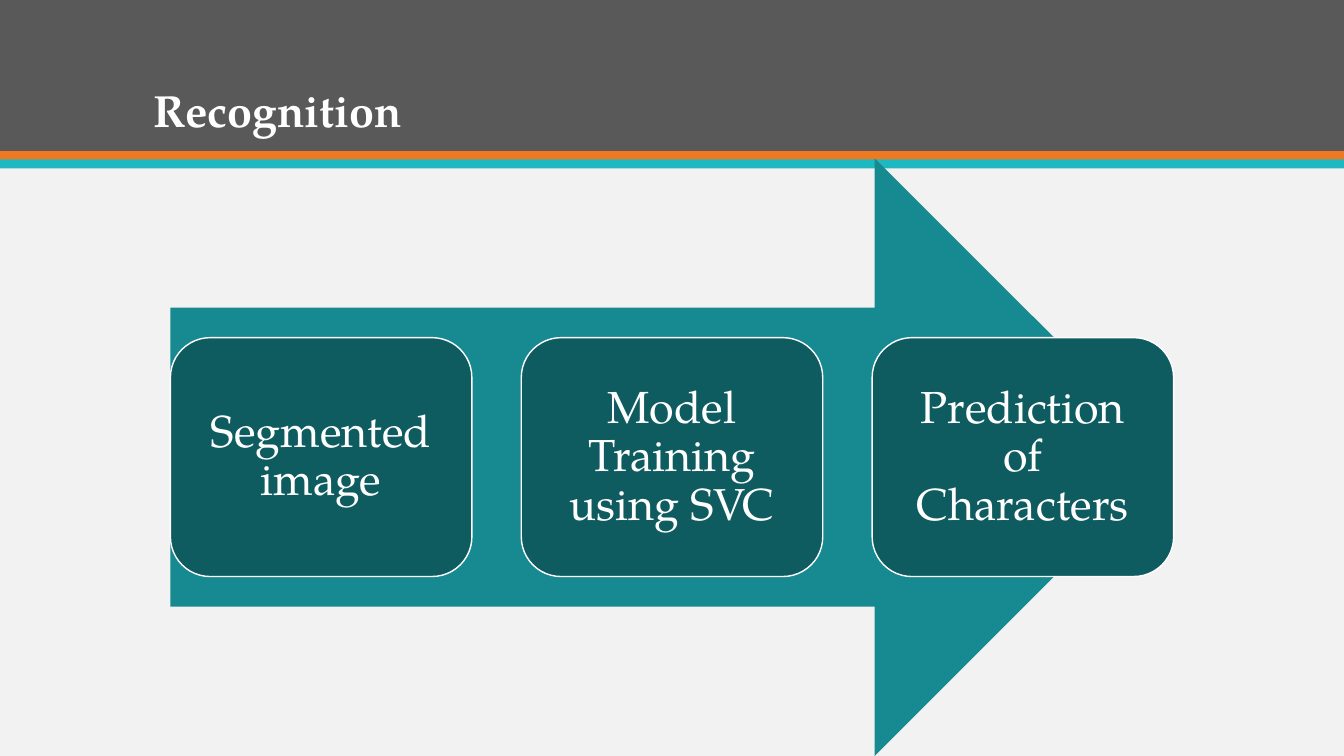
from pptx import Presentation
from pptx.dml.color import RGBColor
from pptx.enum import shapes, text
from pptx.util import Inches, Pt

# Content
TITLE = "Recognition"
STEPS = ["Segmented image", "Model Training using SVC", "Prediction of Characters"]

THEME = {
    "font": "TeX Gyre Pagella",
    "size": 32,
    "background": "F2F2F2",
    "header": "595959",
    "orange": "EF7920",
    "aqua": "1EB8C1",
    "arrow": "178A91",
    "step": "0F5C60",
    "white": "FFFFFF",
}

# Layout, in inches
SLIDE_WIDTH, SLIDE_HEIGHT = 13.33, 7.5
BANDS = [("header", 0, 1.5), ("orange", 1.5, 0.09), ("aqua", 1.58, 0.09)]
TITLE_AREA = (1.42, 0.28, 10.5, 1.13)
ARROW_AREA = (1.69, 1.57, 9.95, 5.93)
STEP_TOP, STEP_WIDTH, STEP_HEIGHT = 3.35, 2.99, 2.37
STEP_INSET = 0.13


def color(name):
    return RGBColor.from_string(THEME[name])


def add_block(page, kind, area, fill, line=None):
    block = page.shapes.add_shape(kind, *map(Inches, area))
    block.shadow.inherit = False
    block.fill.solid()
    block.fill.fore_color.rgb = color(fill)
    if line:
        block.line.color.rgb = color(line)
        block.line.width = Pt(1)
    else:
        block.line.fill.background()
    return block


def write(box, words, align, anchor, inset=None, bold=False):
    frame = box.text_frame
    frame.text = words
    settings = {"word_wrap": True, "auto_size": text.MSO_AUTO_SIZE.NONE,
                "vertical_anchor": anchor}
    if inset is not None:
        for side in ("left", "top", "right", "bottom"):
            settings[f"margin_{side}"] = Inches(inset)
    for name, value in settings.items():
        setattr(frame, name, value)
    para = frame.paragraphs[0]
    para.alignment = align
    para.line_spacing = 0.9
    span = para.runs[0]
    font = {"name": THEME["font"], "size": Pt(THEME["size"]), "bold": bold}
    for name, value in font.items():
        setattr(span.font, name, value)
    span.font.color.rgb = color("white")


def main():
    deck = Presentation()
    deck.slide_width = Inches(SLIDE_WIDTH)
    deck.slide_height = Inches(SLIDE_HEIGHT)
    page = deck.slides.add_slide(deck.slide_layouts.get_by_name("Title Only"))
    page.background.fill.solid()
    page.background.fill.fore_color.rgb = color("background")

    # Header bands
    for fill, top, height in BANDS:
        add_block(page, shapes.MSO_SHAPE.RECTANGLE, (0, top, SLIDE_WIDTH, height), fill)

    # Title, raised above the bands
    title = page.shapes.title
    for name, value in zip(("left", "top", "width", "height"), TITLE_AREA):
        setattr(title, name, Inches(value))
    write(title, TITLE, text.PP_ALIGN.LEFT, text.MSO_ANCHOR.BOTTOM, bold=True)
    page.shapes._spTree.append(title._element)

    # Process arrow
    add_block(page, shapes.MSO_SHAPE.RIGHT_ARROW, ARROW_AREA, "arrow")

    # Steps spread evenly over the arrow's width
    left, _, width, _ = ARROW_AREA
    pitch = (width - STEP_WIDTH) / (len(STEPS) - 1)
    for index, words in enumerate(STEPS):
        area = (left + index * pitch, STEP_TOP, STEP_WIDTH, STEP_HEIGHT)
        box = add_block(page, shapes.MSO_SHAPE.ROUNDED_RECTANGLE, area, "step", "white")
        write(box, words, text.PP_ALIGN.CENTER, text.MSO_ANCHOR.MIDDLE, STEP_INSET)

    deck.save("out.pptx")


if __name__ == "__main__":
    main()
